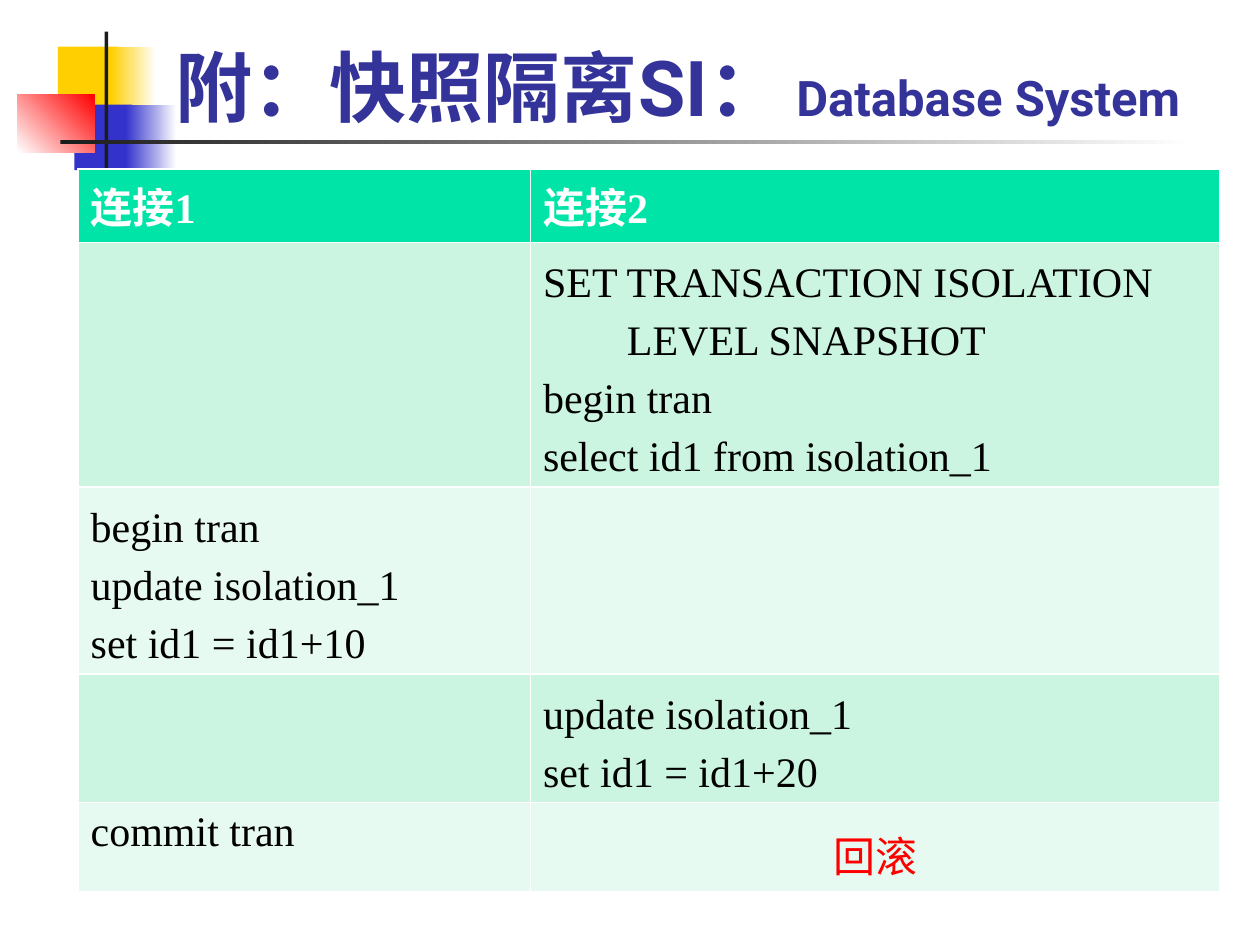
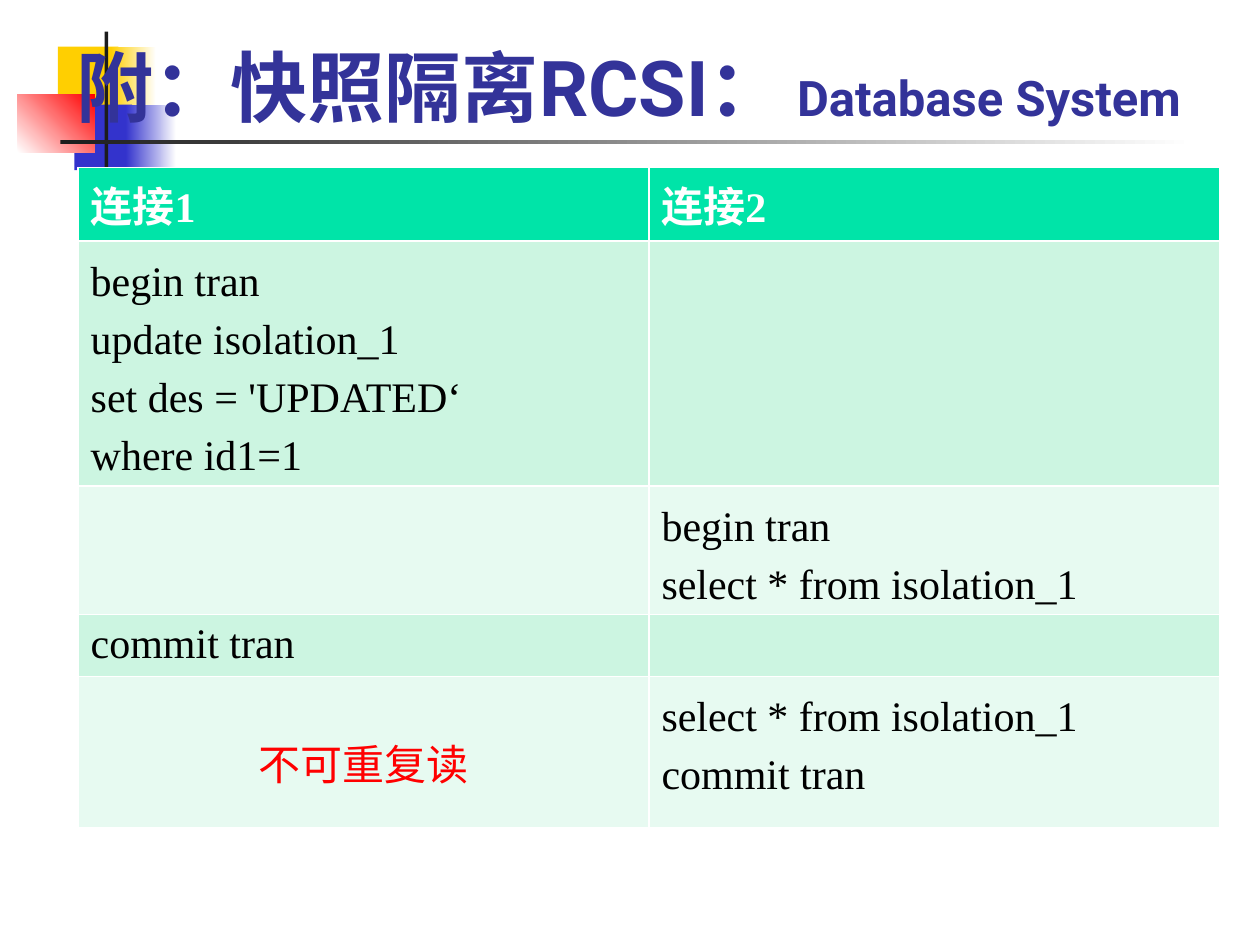
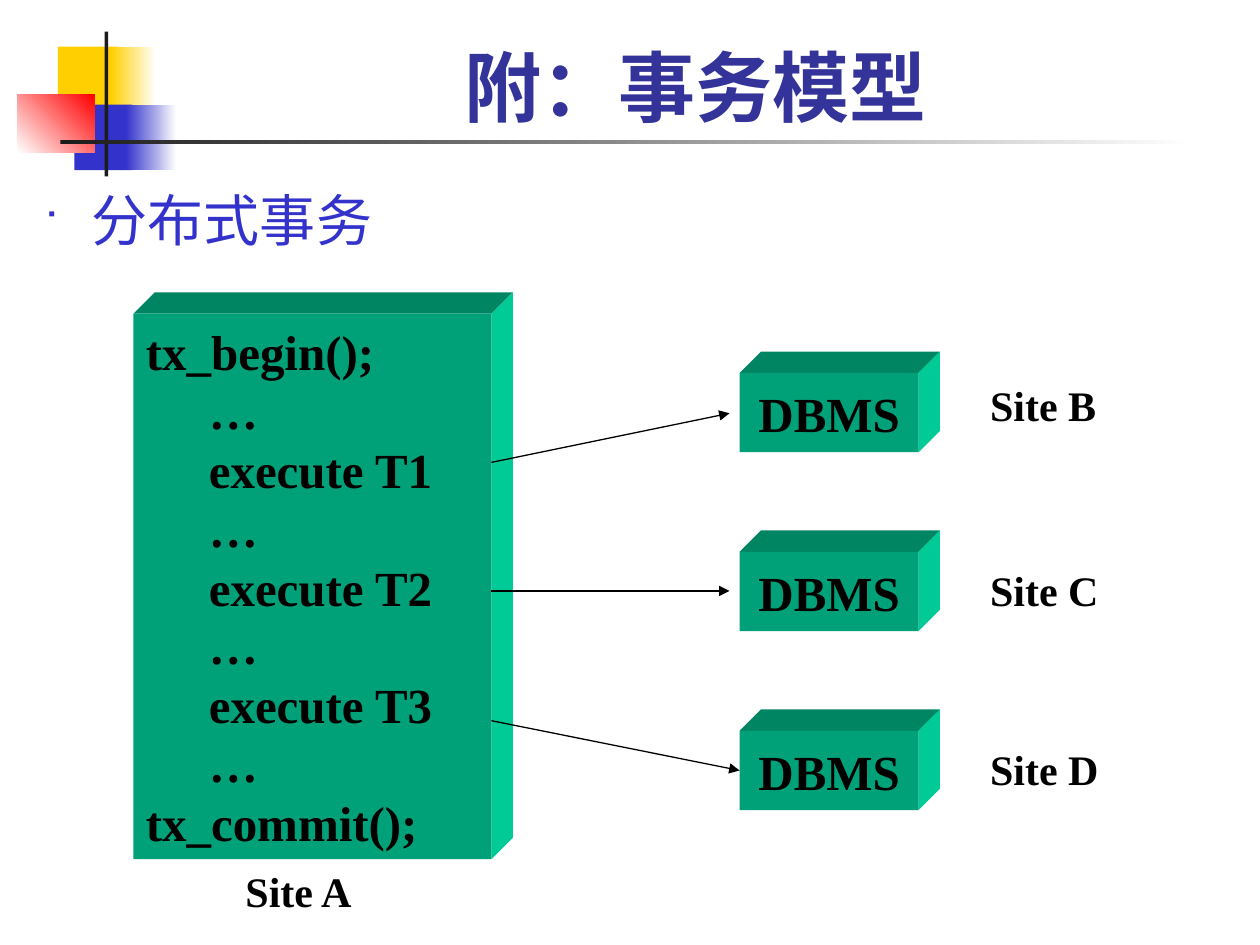
from lxml import etree
from pptx import Presentation
from pptx.dml.color import RGBColor
from pptx.enum.dml import MSO_LINE
from pptx.enum.shapes import MSO_CONNECTOR as Link, MSO_SHAPE as Kind
from pptx.enum.text import MSO_ANCHOR as Anchor, MSO_AUTO_SIZE as Fit, PP_ALIGN as Align
from pptx.oxml.ns import qn
from pptx.util import Inches, Pt

SERIF = "Times New Roman"
SANS = "Roboto"
BLACK, WHITE, RED = "000000", "FFFFFF", "FF0000"
NAVY, BLUE, GOLD, INK = "333399", "3333CC", "FFCF01", "1C1C1C"
HEAD, BANDS = "00E4A8", ("CCF5E1", "E7FAF1")
FRONT, TOP, SIDE = "00A178", "008563", "00CA95"
DEPTH = 0.17


def tint(text):
    return RGBColor.from_string(text)


def add_run(para, text, size, face, color, bold=False):
    run = para.add_run()
    run.text = text
    font = run.font
    font.size, font.name, font.bold = Pt(size), face, bold
    font.color.rgb = tint(color)


def place(shape, left, top, width, height):
    shape.left, shape.top = Inches(left), Inches(top)
    shape.width, shape.height = Inches(width), Inches(height)


def add_block(slide, left, top, width, height, color, fade=None, angle=0):
    block = slide.shapes.add_shape(
        Kind.RECTANGLE, Inches(left), Inches(top), Inches(width), Inches(height))
    block.shadow.inherit = False
    block.line.fill.background()
    if fade:
        block.fill.gradient()
        block.fill.gradient_angle = angle
        for stop, tone in zip(block.fill.gradient_stops, (color, fade)):
            stop.color.rgb = tint(tone)
    else:
        block.fill.solid()
        block.fill.fore_color.rgb = tint(color)
    return block


def dress(deck, slide):
    blocks = [
        add_block(slide, 0.46, 0.37, 0.48, 0.52, GOLD),
        add_block(slide, 0.88, 0.37, 0.36, 0.52, GOLD, WHITE),
        add_block(slide, 0.59, 0.83, 0.46, 0.52, BLUE),
        add_block(slide, 1, 0.83, 0.4, 0.52, BLUE, WHITE),
        add_block(slide, 0.14, 0.75, 0.61, 0.46, WHITE, RED, 45),
        add_block(slide, 0.83, 0.25, 0.03, 1.15, INK),
        add_block(slide, 0.48, 1.11, 9, 0.03, INK, WHITE),
    ]
    tree = deck.slide_master.shapes.element
    for spot, block in enumerate(blocks, 2):
        tree.insert(spot, block.element)


def add_title(slide, left, text, note=None):
    title = slide.shapes.title
    place(title, left, 0.17, 9.78 - left, 0.93)
    frame = title.text_frame
    frame.auto_size, frame.vertical_anchor = Fit.NONE, Anchor.BOTTOM
    para = frame.paragraphs[0]
    para.alignment = Align.CENTER
    add_run(para, text, 44, SANS, NAVY, True)
    if note:
        add_run(para, note, 28, SANS, NAVY, True)


def fill_cell(cell, text, color, bold=False, space=None, align=Align.LEFT):
    frame = cell.text_frame
    for index, line in enumerate(text.split("\n")):
        para = frame.add_paragraph() if index else frame.paragraphs[0]
        para.alignment = align
        if space:
            para.line_spacing = space
        add_run(para, line, 24, SERIF, color, bold)


def add_grid(slide, top, widths, heights, rows):
    grid = slide.shapes.add_table(
        len(rows) + 1, 2, Inches(0.62), Inches(top),
        Inches(sum(widths)), Inches(sum(heights))).table
    for col, width in zip(grid.columns, widths):
        col.width = Inches(width)
    for row, height in zip(grid.rows, heights):
        row.height = Inches(height)
    for y, texts in enumerate([("连接1", "连接2")] + rows):
        for x, text in enumerate(texts):
            cell = grid.cell(y, x)
            cell.fill.solid()
            cell.fill.fore_color.rgb = tint(BANDS[(y - 1) % 2] if y else HEAD)
            if not y:
                fill_cell(cell, text, WHITE, True)
            elif text:
                space = 1.25 if "\n" in text else None
                fill_cell(cell, text, BLACK, space=space)
    return grid


def add_list(slide, text):
    body = slide.placeholders[1]
    place(body, 0.25, 1.42, 9.54, 5.75)
    body.text_frame.auto_size = Fit.NONE
    para = body.text_frame.paragraphs[0]
    props = para._p.get_or_add_pPr()
    props.set("marL", str(Inches(0.38)))
    props.set("indent", str(-Inches(0.38)))
    color = etree.SubElement(props, qn("a:buClr"))
    etree.SubElement(color, qn("a:srgbClr"), val=BLUE)
    etree.SubElement(props, qn("a:buSzPct"), val="60000")
    etree.SubElement(props, qn("a:buFont"), typeface="Wingdings")
    etree.SubElement(props, qn("a:buChar"), char="■")
    para.alignment = Align.JUSTIFY
    para.space_before = Pt(0)
    add_run(para, text, 32, SANS, BLUE)


def add_face(slide, points, color):
    spots = [(Inches(x), Inches(y)) for x, y in points]
    pen = slide.shapes.build_freeform(*spots[0])
    pen.add_line_segments(spots[1:], close=True)
    face = pen.convert_to_shape()
    face.shadow.inherit = False
    face.fill.solid()
    face.fill.fore_color.rgb = tint(color)
    face.line.fill.background()


def add_cube(slide, left, top, width, height, lines, align):
    right, base = left + width, top + height
    back, high = right + DEPTH, top - DEPTH
    add_face(slide, [(left, top), (left + DEPTH, high), (back, high), (right, top)], TOP)
    add_face(slide, [(right, top), (back, high), (back, base - DEPTH), (right, base)], SIDE)
    front = add_block(slide, left, top, width, height, FRONT)
    frame = front.text_frame
    frame.word_wrap, frame.vertical_anchor = False, Anchor.MIDDLE
    for index, (text, level) in enumerate(lines):
        para = frame.add_paragraph() if index else frame.paragraphs[0]
        para.alignment = align
        if level:
            para.level = level
            para._p.get_or_add_pPr().set("marL", str(Inches(0.5 * level)))
        add_run(para, text, 28, SERIF, BLACK, True)
    return front


def add_arrow(slide, start, end, goal=None):
    arrow = slide.shapes.add_connector(
        Link.STRAIGHT, *(Inches(value) for value in start + end))
    if goal:
        arrow.end_connect(goal, 1)
    arrow.line.width = Pt(0.75)
    arrow.line.dash_style = MSO_LINE.SOLID
    arrow.line.color.rgb = tint(BLACK)
    line = arrow.line._get_or_add_ln()
    etree.SubElement(line, qn("a:tailEnd"), type="triangle")
    etree.SubElement(arrow.element.spPr, qn("a:effectLst"))


def add_label(slide, left, top, text):
    box = slide.shapes.add_textbox(Inches(left), Inches(top), Inches(1.1), Inches(0.5))
    box.text_frame.word_wrap = True
    add_run(box.text_frame.paragraphs[0], text, 24, SERIF, BLACK, True)


def show_lock(slide):
    add_title(slide, 0.98, "附：快照隔离SI：", " Database System")
    grid = add_grid(slide, 1.34, (3.59, 5.47), (0.57, 1.94, 1.48, 1.02, 0.7), [
        ("", "SET TRANSACTION ISOLATION\n        LEVEL SNAPSHOT\n"
             "begin tran\nselect id1 from isolation_1"),
        ("begin tran\nupdate isolation_1\nset id1 = id1+10", ""),
        ("", "update isolation_1\nset id1 = id1+20"),
        ("commit tran", ""),
    ])
    fill_cell(grid.cell(4, 1), "回滚", RED, space=1.25, align=Align.CENTER)


def show_read(slide):
    add_title(slide, 0.2, "附：快照隔离RCSI：", " Database System")
    grid = add_grid(slide, 1.33, (4.53, 4.53), (0.57, 1.94, 1.02, 0.49, 1.2), [
        ("begin tran\nupdate isolation_1\nset des = 'UPDATED‘\nwhere id1=1", ""),
        ("", "begin tran\nselect * from isolation_1"),
        ("commit tran", ""),
        ("", "select * from isolation_1\ncommit tran"),
    ])
    cell = grid.cell(4, 0)
    cell.margin_top = Inches(0.44)
    fill_cell(cell, "不可重复读", RED, align=Align.CENTER)


def show_model(slide):
    add_title(slide, 1.26, "附：事务模型")
    add_list(slide, "分布式事务")
    steps = [("tx_begin();", 0)]
    for step in range(1, 4):
        steps += [("…", 1), (f"execute T{step}", 1)]
    steps += [("…", 1), ("tx_commit();", 0)]
    add_cube(slide, 1.06, 2.49, 2.84, 4.33, steps, Align.LEFT)
    nodes = [add_cube(slide, 5.87, 2.96 + 1.42 * row, 1.42, 0.63, [("DBMS", 0)], Align.CENTER)
             for row in range(3)]
    add_arrow(slide, (3.9, 3.67), (5.79, 3.28))
    add_arrow(slide, (3.9, 4.69), (5.79, 4.69))
    add_arrow(slide, (3.9, 5.72), (5.87, 6.11), nodes[2])
    for name, top in (("B", 2.96), ("C", 4.43), ("D", 5.85)):
        add_label(slide, 7.76, top, f"Site {name}")
    add_label(slide, 1.85, 6.82, "Site A")


def main():
    deck = Presentation()
    deck.slide_width, deck.slide_height = Inches(10), Inches(7.5)
    views = ((show_lock, 5), (show_read, 5), (show_model, 1))
    for index, (show, layout) in enumerate(views):
        slide = deck.slides.add_slide(deck.slide_layouts[layout])
        if not index:
            dress(deck, slide)
        show(slide)
    deck.save("out.pptx")


if __name__ == "__main__":
    main()
